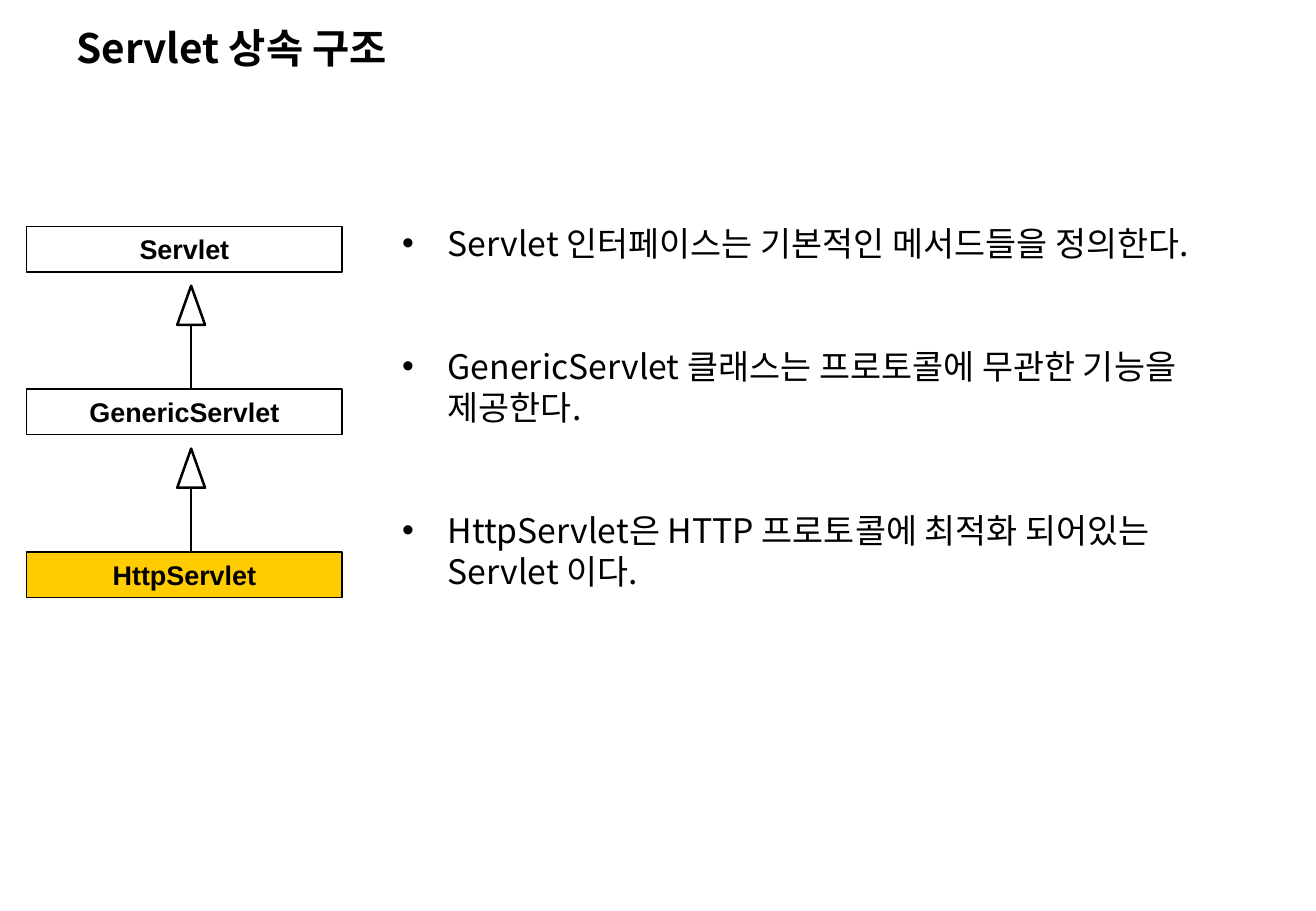
from pptx import Presentation
from pptx.dml.color import RGBColor
from pptx.enum.shapes import MSO_CONNECTOR, MSO_SHAPE
from pptx.enum.text import MSO_ANCHOR, PP_ALIGN
from pptx.oxml.ns import qn
from pptx.util import Pt
from lxml.etree import SubElement

BLACK = RGBColor(0, 0, 0)
GOLD = RGBColor(0xFF, 0xCC, 0)
SANS = "Arial"
KOREAN = "Noto Sans CJK KR"
CLASSES = [("Servlet", None), ("GenericServlet", None), ("HttpServlet", GOLD)]
NOTES = [
    "Servlet 인터페이스는 기본적인 메서드들을 정의한다.",
    "GenericServlet 클래스는 프로토콜에 무관한 기능을 제공한다.",
    "HttpServlet은 HTTP 프로토콜에 최적화 되어있는 Servlet 이다.",
]


def write(frame, lines, size, font, bold=False, align=PP_ALIGN.LEFT,
          anchor=MSO_ANCHOR.TOP, inset=7.2, pitch=None, gap=0, bullet=None):
    frame.word_wrap = True
    frame.vertical_anchor = anchor
    frame.margin_left = frame.margin_right = Pt(inset)
    frame.margin_top = frame.margin_bottom = Pt(3.6)
    for i, line in enumerate(lines):
        para = frame.paragraphs[0] if i == 0 else frame.add_paragraph()
        para.alignment = align
        if pitch:
            para.line_spacing = Pt(pitch)
        if i:
            para.space_before = Pt(gap)
        if bullet:
            props = para._p.get_or_add_pPr()
            props.set("marL", str(Pt(27)))
            props.set("indent", str(-Pt(27)))
            SubElement(props, qn("a:buFont"), typeface=SANS)
            SubElement(props, qn("a:buChar"), char=bullet)
        run = para.add_run()
        run.text = line
        run.font.size = Pt(size)
        run.font.bold = bold
        run.font.name = font
        run.font.color.rgb = BLACK
        SubElement(run._r.get_or_add_rPr(), qn("a:ea"), typeface=font)


def add_text(slide, box, lines, **form):
    shape = slide.shapes.add_textbox(*map(Pt, box))
    write(shape.text_frame, lines, **form)


def add_block(slide, kind, box, width, fill=None):
    shape = slide.shapes.add_shape(kind, *map(Pt, box))
    shape.shadow.inherit = False
    shape.line.color.rgb = BLACK
    shape.line.width = Pt(width)
    if fill is None:
        shape.fill.background()
    else:
        shape.fill.solid()
        shape.fill.fore_color.rgb = fill
    return shape


def add_parent(slide, mid, top, end):
    """Draw the hollow arrow that points from a class up to its parent."""
    wide, high = 16.5, 23.2
    add_block(slide, MSO_SHAPE.FLOWCHART_EXTRACT,
              (mid - wide / 2, top, wide, high), 1.5)
    stem = slide.shapes.add_connector(
        MSO_CONNECTOR.STRAIGHT, Pt(mid), Pt(top + high), Pt(mid), Pt(end))
    stem.line.color.rgb = BLACK
    stem.line.width = Pt(1.5)
    SubElement(stem._element.spPr, qn("a:effectLst"))


def add_tree(slide, box):
    left, top, width, height = box
    high = 26.9
    step = (height - high) / (len(CLASSES) - 1)
    for i, (name, fill) in enumerate(CLASSES):
        y = top + i * step
        shape = add_block(slide, MSO_SHAPE.RECTANGLE,
                          (left, y, width, high), 1, fill)
        write(shape.text_frame, [name], size=16, font=SANS, bold=True,
              align=PP_ALIGN.CENTER)
        if i:
            add_parent(slide, left + width / 2 + 4, y - step + 35.2, y)


def main():
    deck = Presentation()
    deck.slide_width = Pt(780.48)
    deck.slide_height = Pt(540)
    slide = deck.slides.add_slide(deck.slide_layouts[6])
    add_text(slide, (45.5, 11.5, 476.5, 32.5), ["Servlet 상속 구조"],
             size=24, font=KOREAN, bold=True, anchor=MSO_ANCHOR.MIDDLE, inset=0)
    add_tree(slide, (15.8, 134.2, 187.2, 220))
    add_text(slide, (231.4, 128.2, 527, 238.3), NOTES, size=20, font=KOREAN,
             pitch=24.3, gap=48.6, bullet="•")
    deck.save("out.pptx")


if __name__ == "__main__":
    main()
